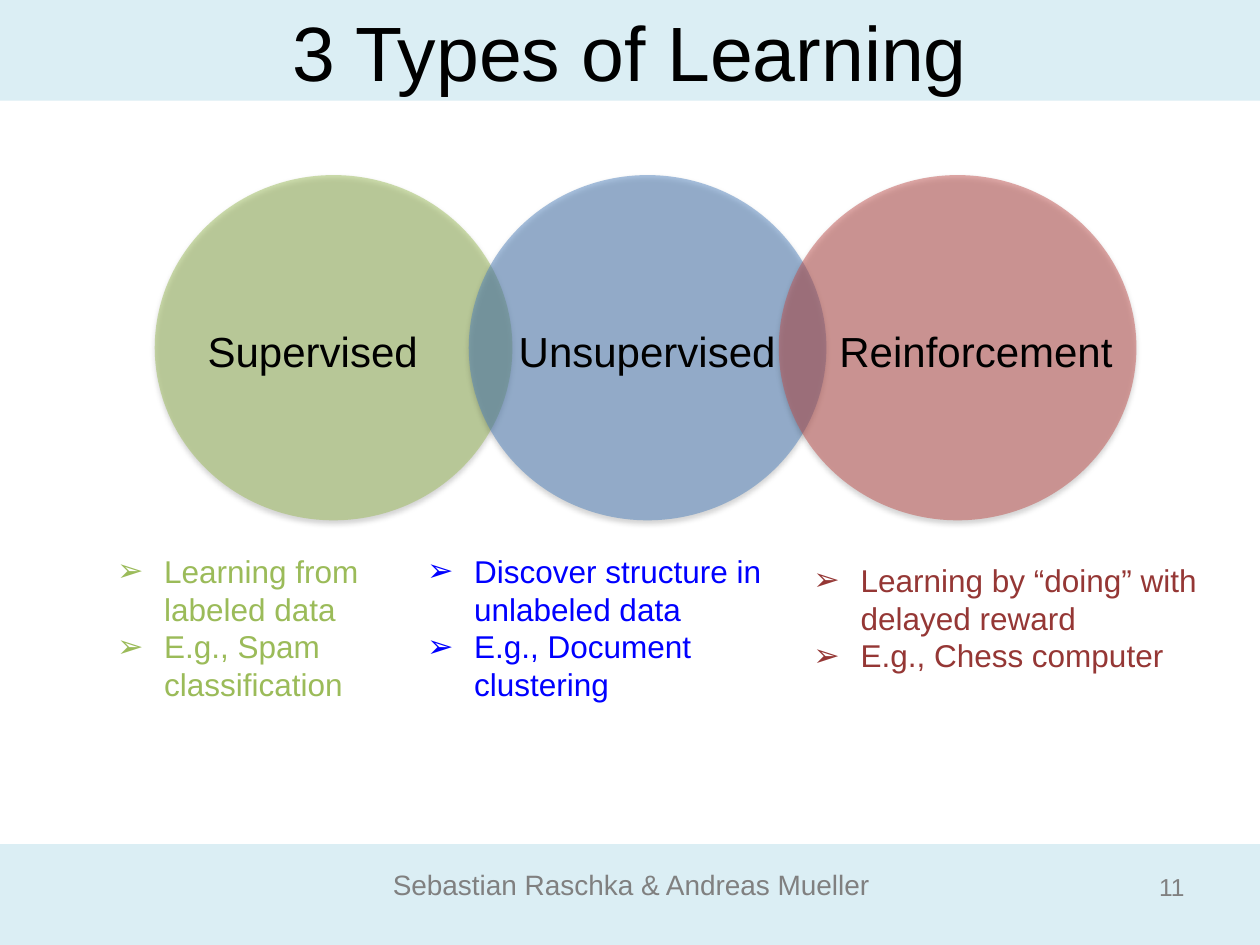
from dataclasses import dataclass

from lxml.etree import SubElement
from pptx import Presentation
from pptx.dml.color import RGBColor as Rgb
from pptx.enum.shapes import MSO_SHAPE as Shape
from pptx.enum.text import MSO_ANCHOR as Anchor, MSO_AUTO_SIZE as Auto, PP_ALIGN as Align
from pptx.oxml.ns import qn
from pptx.util import Cm, Pt


@dataclass(frozen=True)
class Theme:
    font: str = "Arial"
    band: str = "DBEEF4"
    ink: str = "000000"
    gray: str = "808080"
    green: str = "9BBB59"
    sky: str = "4F81BD"
    rose: str = "C0504D"
    blue: str = "0000FF"
    wine: str = "953735"
    title: int = 44
    label: int = 24
    body: int = 18
    foot: int = 16
    page: int = 14


THEME = Theme()

TYPES = [
    ("Supervised", 3.12, THEME.sky and THEME.green, 2.84,
     (2.11, 11, 7.21, 3.33), THEME.green,
     ["Learning from labeled data", "E.g., Spam classification"]),
    ("Unsupervised", 9.45, THEME.sky, 9.58,
     (8.36, 11, 8.31, 3.33), THEME.blue,
     ["Discover structure in unlabeled data", "E.g., Document clustering"]),
    ("Reinforcement", 15.7, THEME.rose, 16.21,
     (16.15, 11.18, 8.79, 2.57), THEME.wine,
     ["Learning by “doing” with delayed reward", "E.g., Chess computer"]),
]


def add_form(slide, kind, box, color):
    form = slide.shapes.add_shape(kind, *map(Cm, box))
    form.shadow.inherit = False
    form.fill.solid()
    form.fill.fore_color.rgb = Rgb.from_string(color)
    form.line.fill.background()
    return form


def add_disc(slide, left, color):
    disc = add_form(slide, Shape.OVAL, (left, 3.53, 7.21, 6.96), color)
    props = disc._element.spPr
    tint = props.find(qn("a:solidFill")).find(qn("a:srgbClr"))
    SubElement(tint, qn("a:alpha"), val="49000")
    shade = SubElement(props.find(qn("a:effectLst")), qn("a:outerShdw"),
                       blurRad=str(Pt(3.1)), dist=str(Pt(1.8)),
                       dir="5400000", rotWithShape="0")
    black = SubElement(shade, qn("a:srgbClr"), val=THEME.ink)
    SubElement(black, qn("a:alpha"), val="35000")


def add_mark(para):
    props = para._p.get_or_add_pPr()
    props.set("marL", str(Cm(0.95)))
    props.set("indent", str(-Cm(0.95)))
    SubElement(props, qn("a:buFont"), typeface=THEME.font)
    SubElement(props, qn("a:buChar"), char="➢")


def add_text(slide, box, lines, size, color, align=Align.LEFT,
             anchor=Anchor.TOP, marks=False):
    frame = slide.shapes.add_textbox(*map(Cm, box)).text_frame
    frame.word_wrap = True
    frame.auto_size = Auto.SHAPE_TO_FIT_TEXT if anchor == Anchor.TOP else Auto.NONE
    frame.vertical_anchor = anchor
    frame.text = "\n".join(lines)
    for para in frame.paragraphs:
        para.alignment = align
        if marks:
            add_mark(para)
        for run in para.runs:
            run.font.name = THEME.font
            run.font.size = Pt(size)
            run.font.color.rgb = Rgb.from_string(color)


def main():
    deck = Presentation()
    deck.slide_width, deck.slide_height = Cm(25.4), Cm(19.05)
    slide = deck.slides.add_slide(deck.slide_layouts[6])

    for top in (17.02, 0):
        add_form(slide, Shape.RECTANGLE, (0, top, 25.4, 2.03), THEME.band)
    add_text(slide, (7.67, 17.37, 11.15, 0.94),
             ["Sebastian Raschka & Andreas Mueller"], THEME.foot, THEME.gray)
    add_text(slide, (1.27, -0.56, 22.86, 3.18), ["3 Types of Learning"],
             THEME.title, THEME.ink, Align.CENTER, Anchor.MIDDLE)
    add_text(slide, (22.91, 17.37, 1.22, 1.02), ["11"],
             THEME.page, THEME.gray, Align.RIGHT, Anchor.MIDDLE)

    for name, left, fill, *rest in TYPES:
        add_disc(slide, left, fill)
    for name, left, fill, start, box, color, lines in TYPES:
        add_text(slide, (start, 6.43, 6.93, 1.27), [name],
                 THEME.label, THEME.ink, Align.CENTER)
        add_text(slide, box, lines, THEME.body, color, marks=True)

    deck.save("out.pptx")


if __name__ == "__main__":
    main()
